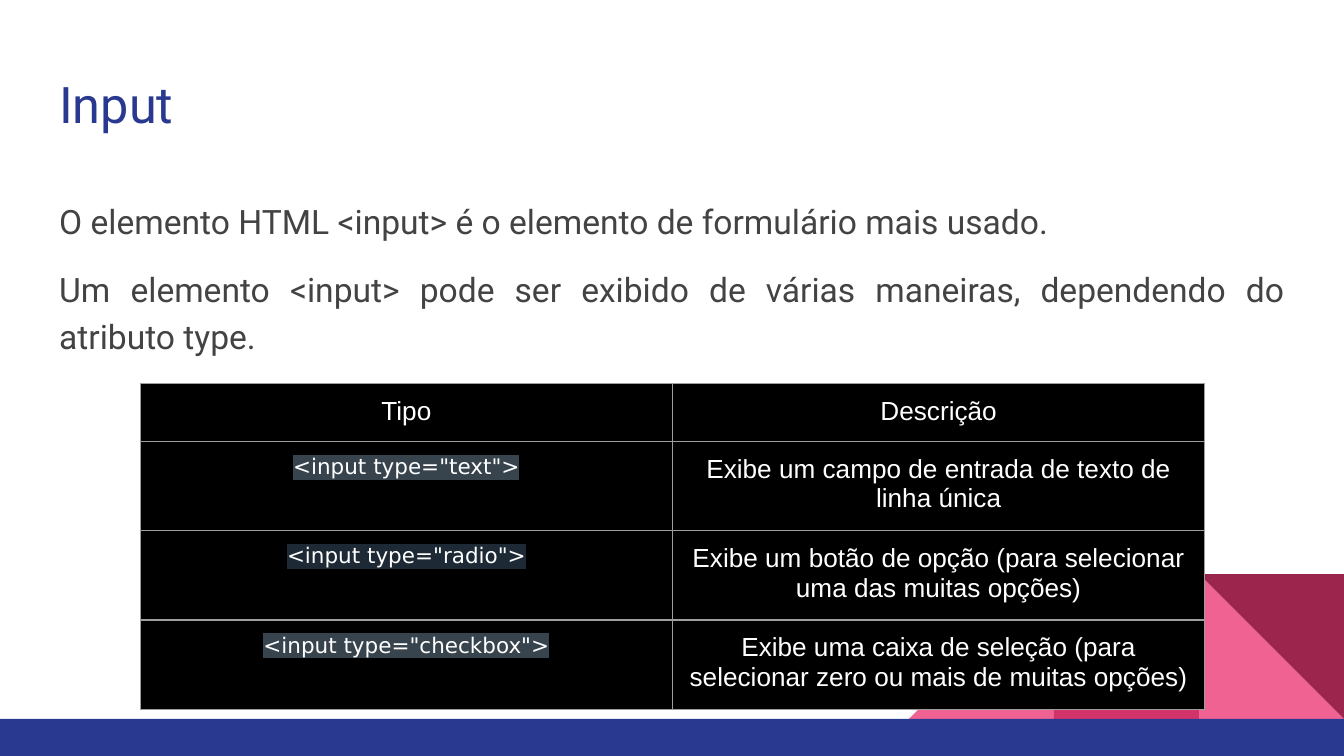
import pptx
import pptx.dml.color
import pptx.enum.shapes
import pptx.enum.text
import pptx.oxml
import pptx.oxml.ns
import pptx.util
from pptx.util import Cm, Pt

SHAPE = pptx.enum.shapes.MSO_SHAPE
ALIGN = pptx.enum.text.PP_ALIGN
HUES = {
    "navy": "2A3990", "pink": "F06292", "rose": "D23369", "wine": "9C254D",
    "gray": "434343", "black": "000000", "white": "FFFFFF", "rule": "9E9E9E",
    "slate": "38444D", "night": "1D2A35",
}
PAD = Cm(0.25)
ROWS = [
    ('<input type="text">', "slate",
     "Exibe um campo de entrada de texto de linha única"),
    ('<input type="radio">', "night",
     "Exibe um botão de opção (para selecionar uma das muitas opções)"),
    ('<input type="checkbox">', "slate",
     "Exibe uma caixa de seleção (para selecionar zero ou mais de muitas opções)"),
]


def rgb(hue):
    return pptx.dml.color.RGBColor.from_string(HUES[hue])


def xml(body):
    return pptx.oxml.parse_xml(body.replace(" ", f" {pptx.oxml.ns.nsdecls('a')} ", 1))


def style(para, face, size, hue, align):
    para.alignment = align
    for run in para.runs:
        run.font.name = face
        run.font.size = Pt(size)
        run.font.color.rgb = rgb(hue)


def pad(item):
    item.margin_left = item.margin_right = PAD
    item.margin_top = item.margin_bottom = PAD


def add_block(slide, kind, left, top, width, height, hue):
    shape = slide.shapes.add_shape(kind, Cm(left), Cm(top), Cm(width), Cm(height))
    shape.shadow.inherit = False
    shape.fill.solid()
    shape.fill.fore_color.rgb = rgb(hue)
    shape.line.fill.background()
    return shape


def add_decor(slide):
    """Draw the corner triangles and the bar along the foot."""
    side, top, right = 2.74, 10.85, 25.4
    tri = SHAPE.RIGHT_TRIANGLE
    add_block(slide, tri, right - side, top, side, side, "pink")
    left = add_block(slide, tri, right - 3 * side, top, side, side, "pink")
    left.element.spPr.find(pptx.oxml.ns.qn("a:xfrm")).set("flipH", "1")
    add_block(slide, SHAPE.RECTANGLE, right - 2 * side, top, side, side, "rose")
    dark = add_block(slide, tri, right - side, top, side, side, "wine")
    dark.rotation = 180
    add_block(slide, SHAPE.RECTANGLE, 0, top + side, right, 0.7, "navy")


def add_text(slide, left, top, width, height, text, size, hue, align):
    box = slide.shapes.add_textbox(Cm(left), Cm(top), Cm(width), Cm(height))
    frame = box.text_frame
    frame.word_wrap = True
    pad(frame)
    frame.text = text
    for para in frame.paragraphs:
        style(para, "Roboto", size, hue, align)
    return frame


def add_edges(cell):
    """Rule all four sides of a cell."""
    props = cell._tc.get_or_add_tcPr()
    for spot, side in enumerate("LRTB"):
        props.insert(spot, xml(
            f'<a:ln{side} w="{Pt(0.75)}"><a:solidFill>'
            f'<a:srgbClr val="{HUES["rule"]}"/></a:solidFill></a:ln{side}>'))


def mark(run, hue):
    """Highlight a run; the tag must follow the run's fill."""
    fill = run.font._element.find(pptx.oxml.ns.qn("a:solidFill"))
    fill.addnext(xml(f'<a:highlight ><a:srgbClr val="{HUES[hue]}"/></a:highlight>'))


def fill_cell(cell, text, face="Arial", size=14):
    cell.text = text
    pad(cell)
    cell.fill.solid()
    cell.fill.fore_color.rgb = rgb("black")
    add_edges(cell)
    style(cell.text_frame.paragraphs[0], face, size, "white", ALIGN.CENTER)


def add_grid(slide):
    width, height = 10.06, 1.06
    count = len(ROWS) + 1
    table = slide.shapes.add_table(
        count, 2, Cm(2.65), Cm(7.25), Cm(2 * width), Cm(count * height)).table
    for col, head in enumerate(("Tipo", "Descrição")):
        fill_cell(table.cell(0, col), head)
    for row, (tag, hue, note) in enumerate(ROWS, 1):
        cell = table.cell(row, 0)
        fill_cell(cell, tag, "DejaVu Sans", 11.5)
        mark(cell.text_frame.paragraphs[0].runs[0], hue)
        fill_cell(table.cell(row, 1), note)


def main():
    deck = pptx.Presentation()
    deck.slide_width, deck.slide_height = Cm(25.4), Cm(14.29)
    slide = deck.slides.add_slide(deck.slide_layouts[6])
    add_decor(slide)
    add_text(slide, 0.87, 1.14, 20.17, 1.68, "Input", 27, "navy", ALIGN.LEFT)
    body = add_text(
        slide, 0.87, 3.43, 23.67, 9.27,
        "O elemento HTML <input> é o elemento de formulário mais usado.\n"
        "Um elemento <input> pode ser exibido de várias maneiras, "
        "dependendo do atributo type.", 18, "gray", ALIGN.JUSTIFY)
    for para in body.paragraphs:
        para.line_spacing = 1.15
    last = body.paragraphs[-1]
    last.space_before = last.space_after = Pt(12)
    add_grid(slide)
    deck.save("out.pptx")


if __name__ == "__main__":
    main()
